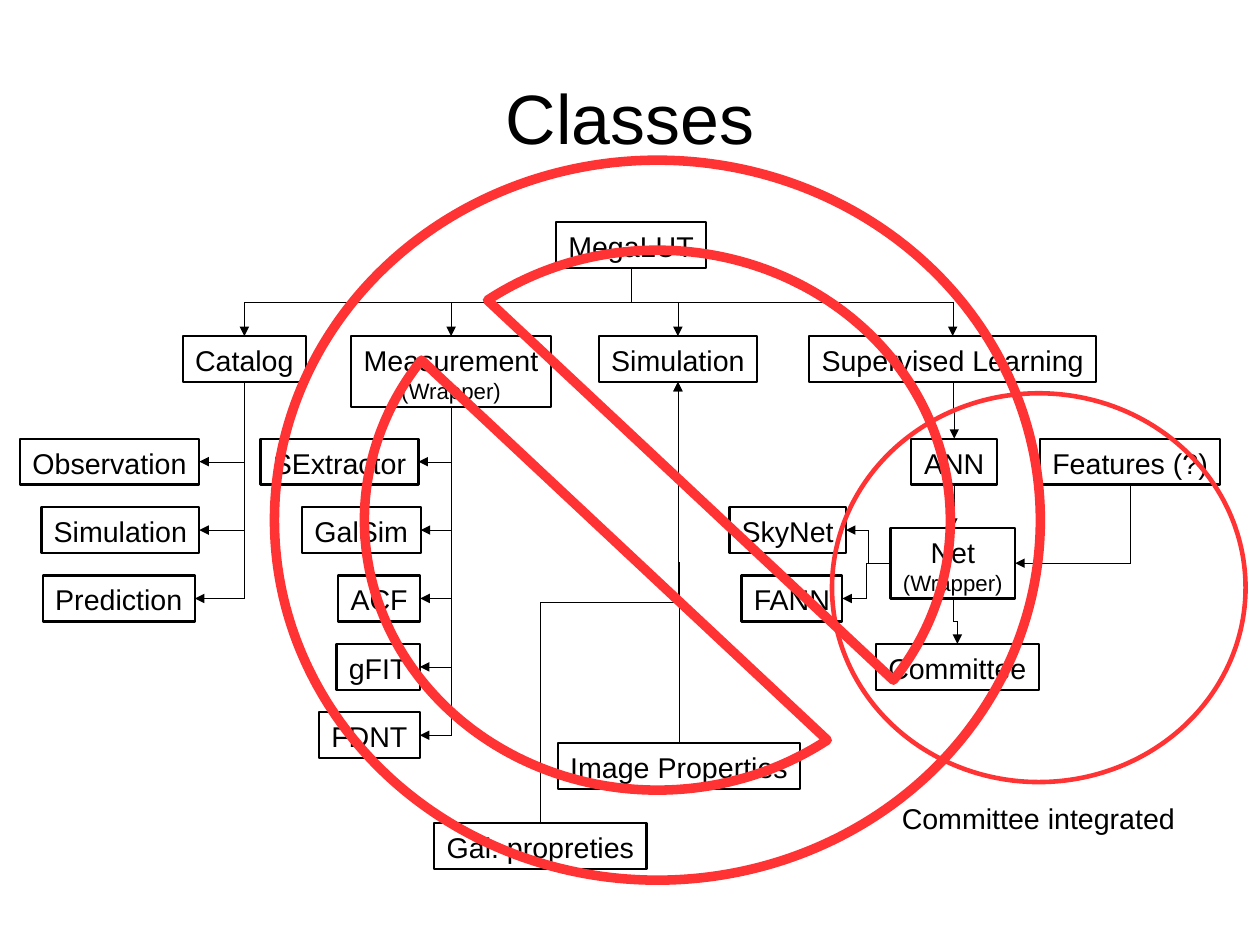
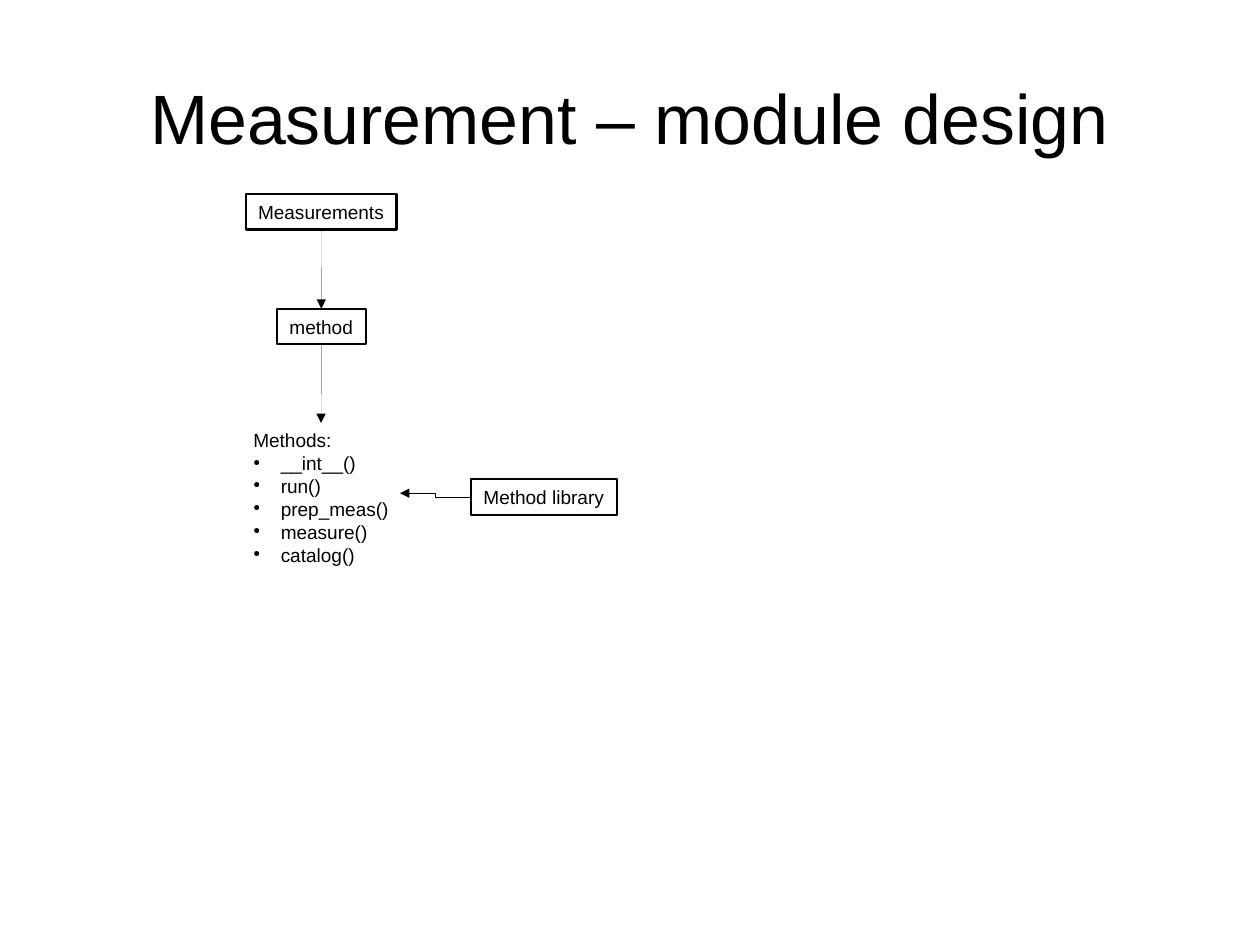
import pptx
import pptx.util
import pptx.dml.color
import pptx.enum.shapes
import pptx.enum.text
import pptx.oxml
import pptx.oxml.ns
from dataclasses import dataclass

Cm, Pt = pptx.util.Cm, pptx.util.Pt
Kind = pptx.enum.shapes.MSO_SHAPE
Wire = pptx.enum.shapes.MSO_CONNECTOR
Align = pptx.enum.text.PP_ALIGN
Anchor = pptx.enum.text.MSO_ANCHOR
Fit = pptx.enum.text.MSO_AUTO_SIZE


@dataclass(frozen=True)
class Theme:
    font: str = "Arial"
    ink: str = "000000"
    red: str = "FF3333"
    head: int = 44
    body: int = 18
    sub: int = 14
    small: int = 12
    frame: float = 1.45
    ring: float = 2.89
    ban: float = 6
    title: tuple = (1.4, 0.84, 25.2, 3.51)
    inset: tuple = (0.1, 0.15)
    plain: tuple = (0.25, 0.13)


THEME = Theme()
SITE = {"top": 0, "left": 1, "bottom": 2, "right": 3}

# Slide 1 content: key, lines, left, top, width
TIER, ROW, STEP = 7.47, 9.75, 1.52
CLASSES = [
    ("root", ["MegaLUT"], 12.36, 4.93, 3.33),
    ("cat", ["Catalog"], 4.06, TIER, 2.74),
    ("meas", ["Measurement", "(Wrapper)"], 7.8, TIER, 4.45),
    ("sim", ["Simulation"], 13.31, TIER, 3.51),
    ("learn", ["Supervised Learning"], 17.98, TIER, 6.38),
    ("ann", ["ANN"], 20.25, ROW, 1.91),
    ("feat", ["Features (?)"], 23.11, ROW, 4.01),
    ("net", ["Net", "(Wrapper)"], 19.79, 11.73, 2.77),
    ("sky", ["SkyNet"], 16.21, ROW + STEP, 2.59),
    ("fann", ["FANN"], 16.48, ROW + 2 * STEP, 2.24),
    ("team", ["Committee"], 19.46, ROW + 3 * STEP, 3.63),
    ("gal", ["Gal. propreties"], 9.65, 18.29, 4.72),
    ("image", ["Image Properties"], 12.4, 16.51, 5.38),
]
# Children stacked below a class: name, left, width
STACKS = {
    "cat": [("Observation", 0.44, 3.99), ("Simulation", 0.92, 3.51),
            ("Prediction", 0.95, 3.38)],
    "meas": [("SExtractor", 5.79, 3.51), ("GalSim", 6.71, 2.64),
             ("ACF", 7.51, 1.83), ("gFIT", 7.48, 1.85),
             ("FDNT", 7.09, 2.24)],
}
LINKS = [
    ("root", "bottom", "cat", "top"),
    ("root", "bottom", "meas", "top"),
    ("root", "bottom", "sim", "top"),
    ("root", "bottom", "learn", "top"),
    ("learn", "bottom", "ann", "top"),
    ("ann", "bottom", "net", "top"),
    ("feat", "bottom", "net", "right"),
    ("net", "left", "sky", "right"),
    ("net", "left", "fann", "right"),
    ("net", "bottom", "team", "top"),
    ("gal", "top", "sim", "bottom"),
    ("image", "top", "sim", "bottom"),
]

# Slide 2 content
MODULES = [
    ("all", ["Measurements"], 5.46, 4.31, 3.35),
    ("one", ["method"], 6.15, 6.86, 1.98),
    ("lib", ["Method library"], 10.46, 10.65, 3.25),
]
CALLS = ["__int__()", "run()", "prep_meas()", "measure()", "catalog()"]
FLOW = [
    ("all", "bottom", "one", "top"),
    ("one", "bottom", "list", "top"),
    ("lib", "left", "list", "right"),
]


def rgb(code):
    return pptx.dml.color.RGBColor.from_string(code)


def node(parent, tag, **attrs):
    item = pptx.oxml.parse_xml(
        f"<{tag} {pptx.oxml.ns.nsdecls('a')}/>")
    for name, value in attrs.items():
        item.set(name, str(value))
    parent.append(item)
    return item


def write(frame, lines, sizes, align=None, inset=(0, 0), anchor=Anchor.TOP,
          wrap=False, fit=Fit.SHAPE_TO_FIT_TEXT, breaks=False, bullets=()):
    """Fill a text frame; breaks keeps all lines in one paragraph."""
    frame.word_wrap, frame.auto_size = wrap, fit
    frame.vertical_anchor = anchor
    frame.margin_left = frame.margin_right = Cm(inset[0])
    frame.margin_top = frame.margin_bottom = Cm(inset[1])
    para = frame.paragraphs[0]
    for i, line in enumerate(lines):
        if i and breaks:
            para.add_line_break()
        elif i:
            para = frame.add_paragraph()
        para.alignment = align
        run = para.add_run()
        run.text = line
        font = run.font
        font.name, font.size = THEME.font, Pt(sizes[min(i, len(sizes) - 1)])
        font.color.rgb = rgb(THEME.ink)
        if i in bullets:
            props = para._p.get_or_add_pPr()
            props.set("marL", str(Cm(0.61)))
            props.set("indent", str(-Cm(0.61)))
            node(node(props, "a:buClr"), "a:srgbClr", val=THEME.ink)
            node(props, "a:buSzPct", val=45000)
            node(props, "a:buChar", char="●")


def page(deck, title):
    slide = deck.slides.add_slide(deck.slide_layouts[5])
    head = slide.shapes.title
    head.left, head.top, head.width, head.height = map(Cm, THEME.title)
    write(head.text_frame, [title], [THEME.head], align=Align.CENTER,
          anchor=Anchor.MIDDLE, wrap=True, fit=Fit.NONE)
    return slide


def shape(slide, kind, place, color, width):
    item = slide.shapes.add_shape(kind, *map(Cm, place))
    item.shadow.inherit = False
    item.fill.background()
    item.line.color.rgb = rgb(color)
    item.line.width = Pt(width)
    return item


def box(slide, lines, left, top, width, height, size):
    item = shape(slide, Kind.RECTANGLE, (left, top, width, height),
                 THEME.ink, THEME.frame)
    write(item.text_frame, lines, [size, THEME.sub], inset=THEME.inset,
          align=Align.CENTER, breaks=True)
    return item


def note(slide, lines, place, size, **style):
    item = slide.shapes.add_textbox(*map(Cm, place))
    write(item.text_frame, lines, [size], inset=THEME.plain, **style)
    return item


def link(slide, start, out, end, into):
    """Join two shapes; lines that leave downward or upward are turned."""
    line = slide.shapes.add_connector(Wire.ELBOW, 0, 0, 0, 0)
    line.begin_connect(start, SITE[out])
    line.end_connect(end, SITE[into])
    line.line.color.rgb = rgb(THEME.ink)
    props = line._element.spPr
    stroke = props.find(pptx.oxml.ns.qn("a:ln"))
    stroke.set("w", "0")  # hairline
    node(stroke, "a:tailEnd", type="triangle")
    node(props, "a:effectLst")
    if out in ("left", "right"):
        return
    dx, dy = line.end_x - line.begin_x, line.end_y - line.begin_y
    geom = props.find(pptx.oxml.ns.qn("a:prstGeom"))
    if into in ("top", "bottom") and abs(dx) < Cm(0.02):
        geom.set("prst", "straightConnector1")
        return
    if into in ("left", "right"):
        geom.set("prst", "bentConnector2")
    midx, midy = line.begin_x + dx // 2, line.begin_y + dy // 2
    line.width, line.height = abs(dy), abs(dx)
    line.left, line.top = midx - abs(dy) // 2, midy - abs(dx) // 2
    turn = 90 if (dx > 0) == (dy < 0) else 270
    frame = props.find(pptx.oxml.ns.qn("a:xfrm"))
    frame.set("rot", str(turn * 60000))
    frame.set("flipH", str(int(dx > 0)))
    frame.set("flipV", str(int(dy < 0)))


def classes(deck):
    slide = page(deck, "Classes")
    parts = {key: box(slide, lines, *place, 1.02 + 0.55 * (len(lines) - 1),
                      THEME.body)
             for key, lines, *place in CLASSES}
    for key, names in STACKS.items():
        for i, (name, left, width) in enumerate(names):
            child = box(slide, [name], left, ROW + i * STEP, width, 1.02,
                        THEME.body)
            link(slide, parts[key], "bottom", child, "right")
    for start, out, end, into in LINKS:
        link(slide, parts[start], out, parts[end], into)
    # Red marks
    shape(slide, Kind.OVAL, (18.49, 8.74, 9.19, 8.64), THEME.red, THEME.ring)
    note(slide, ["Committee integrated"], (19.79, 17.68, 6.58, 0.97),
         THEME.body)
    ban = shape(slide, Kind.NO_SYMBOL, (6.1, 3.56, 17.02, 16), THEME.red,
                THEME.ban)
    ban.adjustments[0] = 0.125


def modules(deck):
    slide = page(deck, "Measurement – module design")
    parts = {key: box(slide, lines, *place, 0.79, THEME.small)
             for key, lines, *place in MODULES}
    parts["list"] = note(slide, ["Methods:"] + CALLS,
                         (5.38, 9.4, 3.51, 3.12), THEME.small,
                         bullets=range(1, len(CALLS) + 1))
    for start, out, end, into in FLOW:
        link(slide, parts[start], out, parts[end], into)


def main():
    deck = pptx.Presentation()
    deck.slide_width, deck.slide_height = Cm(28), Cm(21)
    classes(deck)
    modules(deck)
    deck.save("out.pptx")


if __name__ == "__main__":
    main()
